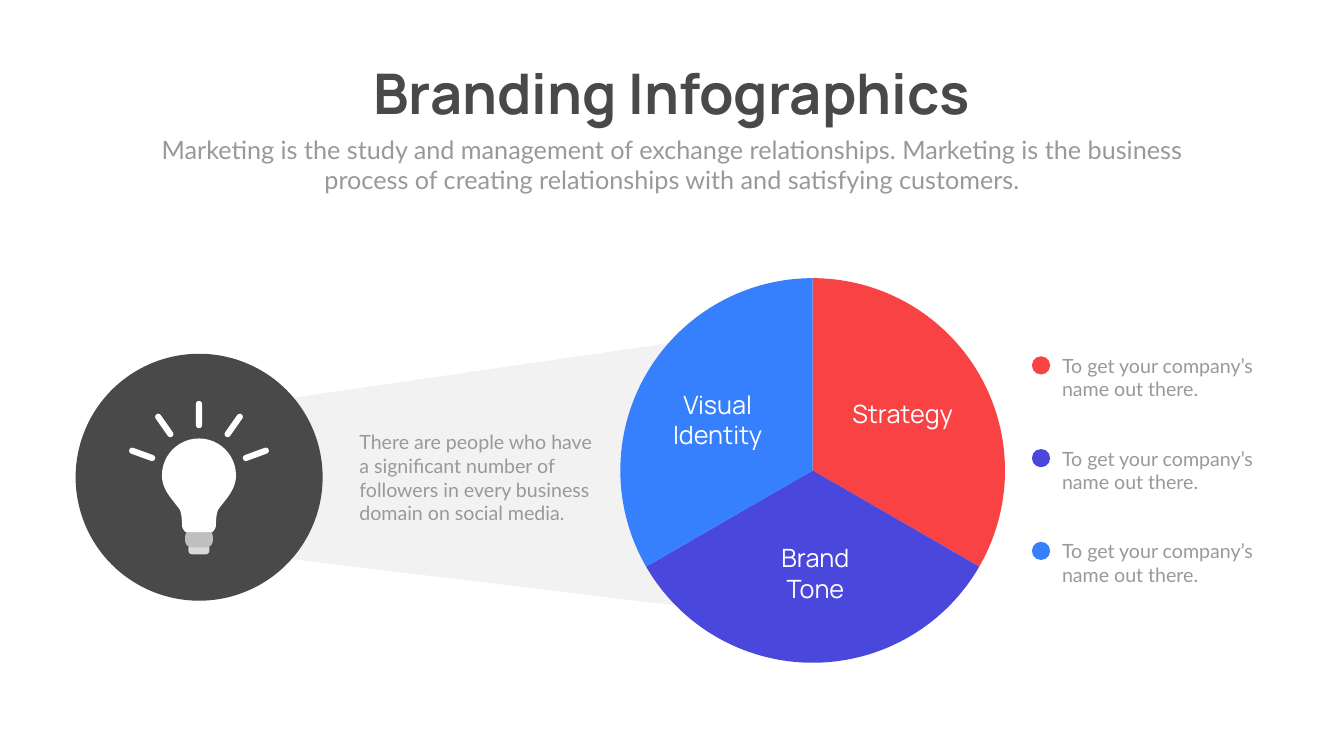
import math

import pptx
import pptx.dml.color
import pptx.enum.shapes
import pptx.enum.text
import pptx.oxml
import pptx.oxml.ns
import pptx.util

Pt = pptx.util.Pt
MSO_SHAPE = pptx.enum.shapes.MSO_SHAPE
PP_ALIGN = pptx.enum.text.PP_ALIGN

COLORS = {
    "dark": "494949", "grey": "999999", "beam": "808080", "white": "FFFFFF",
    "cap": "BFBFBF", "base": "D9D9D9",
    "red": "F84244", "indigo": "4A47DC", "blue": "367FFD",
}
HEADING_FONT, BODY_FONT = "Manrope", "Lato"


def curve_points(start, controls, steps=12):
    """Points along a cubic curve, leaving out its start."""
    points = []
    for step in range(1, steps + 1):
        t = step / steps
        weights = ((1 - t) ** 3, 3 * t * (1 - t) ** 2, 3 * t * t * (1 - t), t ** 3)
        points.append(tuple(
            sum(weight * point[axis] for weight, point in zip(weights, (start, *controls)))
            for axis in (0, 1)))
    return points


class SlideBuilder:
    """Holds the style and the current slide."""

    def __init__(self, slide):
        self.slide = slide

    def paint(self, shape, color, alpha=None):
        shape.shadow.inherit = False
        shape.fill.solid()
        shape.fill.fore_color.rgb = pptx.dml.color.RGBColor.from_string(COLORS[color])
        shape.line.fill.background()
        if alpha is not None:
            fill = shape.element.spPr.find(pptx.oxml.ns.qn("a:solidFill"))
            fill[0].append(pptx.oxml.parse_xml(
                f'<a:alpha {pptx.oxml.ns.nsdecls("a")} val="{alpha * 1000}"/>'))
        return shape

    def shape(self, kind, left, top, width, height, color, adjustments=(), rotation=0):
        shape = self.slide.shapes.add_shape(kind, Pt(left), Pt(top), Pt(width), Pt(height))
        for index, value in enumerate(adjustments):
            shape.adjustments[index] = value
        shape.rotation = rotation
        return self.paint(shape, color)

    def outline(self, points, color, alpha=None):
        corners = [(Pt(x), Pt(y)) for x, y in points]
        builder = self.slide.shapes.build_freeform(*corners[0])
        builder.add_line_segments(corners[1:], close=True)
        return self.paint(builder.convert_to_shape(), color, alpha)

    def fill_text(self, shape, text, size, font, color, align=PP_ALIGN.LEFT,
                  bold=False, wrap=True):
        frame = shape.text_frame
        frame.word_wrap = wrap
        frame.auto_size = pptx.enum.text.MSO_AUTO_SIZE.NONE
        frame.vertical_anchor = pptx.enum.text.MSO_ANCHOR.TOP
        paragraph = frame.paragraphs[0]
        paragraph.alignment = align
        paragraph.space_before = Pt(0)
        run = paragraph.add_run()
        run.text = text
        run.font.size = Pt(size)
        run.font.name = font
        run.font.bold = bold
        run.font.color.rgb = pptx.dml.color.RGBColor.from_string(COLORS[color])
        return shape

    def placeholder(self, index, left, top, width, height, text, *style, **options):
        shape = self.slide.placeholders[index]
        shape.left, shape.top, shape.width, shape.height = map(Pt, (left, top, width, height))
        return self.fill_text(shape, text, *style, **options)

    def text(self, left, top, width, height, text, *style, **options):
        shape = self.slide.shapes.add_textbox(Pt(left), Pt(top), Pt(width), Pt(height))
        return self.fill_text(shape, text, *style, **options)

    def group(self, shapes):
        return self.slide.shapes.add_group_shape(shapes)


def main():
    presentation = pptx.Presentation()
    presentation.slide_width = Pt(1919.52)
    presentation.slide_height = Pt(1080)
    builder = SlideBuilder(presentation.slides.add_slide(presentation.slide_layouts[0]))

    # Title and subtitle
    builder.placeholder(0, 486, 80.6, 947.5, 104.4, "Branding Infographics",
                        80, HEADING_FONT, "dark", PP_ALIGN.CENTER, bold=True, wrap=False)
    builder.placeholder(1, 210.2, 188, 1499, 94.3,
                        "Marketing is the study and management of exchange relationships. "
                        "Marketing is the business process of creating relationships with "
                        "and satisfying customers.",
                        36, BODY_FONT, "grey", PP_ALIGN.CENTER)

    # Beam from the idea to the wheel
    builder.outline([(348.5, 790.6), (1255.7, 900), (1252.8, 447.1), (360, 576.7),
                     (354.2, 790.6)], "beam", alpha=10)
    builder.shape(MSO_SHAPE.OVAL, 108, 505.4, 352.8, 352.8, "dark")
    builder.text(506.2, 611.3, 352.8, 143.3,
                 "There are people who have a significant number of followers "
                 "in every business domain on social media.",
                 28, BODY_FONT, "grey")

    # Light bulb: screw base, then the glass mirrored about its axis
    axis = 284.2
    for top, width, height, color in ((777.6, 30, 14.4, "base"), (756.7, 39.6, 25.2, "cap")):
        builder.shape(MSO_SHAPE.ROUNDED_RECTANGLE, axis - width / 2, top, width, height,
                      color, [0.37])
    half = [(0, 626.4)]
    for controls in (
        ((29.2, 626.4), (52.9, 650), (52.9, 679.3)),
        ((52.9, 699.5), (38.8, 712.5), (28, 727.2)),
        ((24.2, 732.2), (24.2, 750.2), (24.2, 750.2)),
        ((24.2, 753.8), (22, 757.4), (19.1, 760.3)),
    ):
        half += curve_points(half[-1], controls)
    glass = [(axis + x, y) for x, y in half] + [(axis - x, y) for x, y in half[:0:-1]]
    bulb = [builder.outline(glass, "white")]

    # Rays on an arc around the bulb
    ray_width, ray_length, radius, center_y = 8.8, 39, 86.4, 678.6
    for angle in (0, 35, 70, -35, -70):
        x = axis + radius * math.sin(math.radians(angle))
        y = center_y - radius * math.cos(math.radians(angle))
        bulb.append(builder.shape(MSO_SHAPE.ROUNDED_RECTANGLE, x - ray_width / 2,
                                  y - ray_length / 2, ray_width, ray_length,
                                  "white", [0.5], angle))
    builder.group(bulb)

    # Legend
    legend = []
    for row, color in enumerate(("red", "indigo", "blue")):
        top = 501.8 + row * 132.5
        legend.append(builder.shape(MSO_SHAPE.OVAL, 1473.8, top + 7.2, 26, 26, color))
        legend.append(builder.text(1509.8, top, 319, 74.9,
                                   "To get your company’s name out there.",
                                   28, BODY_FONT, "grey"))
    builder.group(legend)

    # Wheel of three equal slices, clockwise from the top
    for index, color in enumerate(("red", "indigo", "blue")):
        start = (270 + 120 * index) % 360
        end = (start + 120) % 360
        # Angles are stored in 60000ths of a degree, adjustments in 100000ths
        builder.shape(MSO_SHAPE.PIE, 886, 397.4, 549.4, 549.4, color,
                      [start * 0.6, end * 0.6])

    # Slice labels
    for left, top, width, height, label in (
        (931, 552.2, 187.9, 93.6, "Visual Identity"),
        (1139.8, 565.2, 298.8, 50.4, "Strategy"),
        (1070.6, 771.8, 187.9, 93.6, "Brand Tone"),
    ):
        builder.text(left, top, width, height, label, 36, HEADING_FONT, "white",
                     PP_ALIGN.CENTER)

    presentation.save("out.pptx")


if __name__ == "__main__":
    main()
